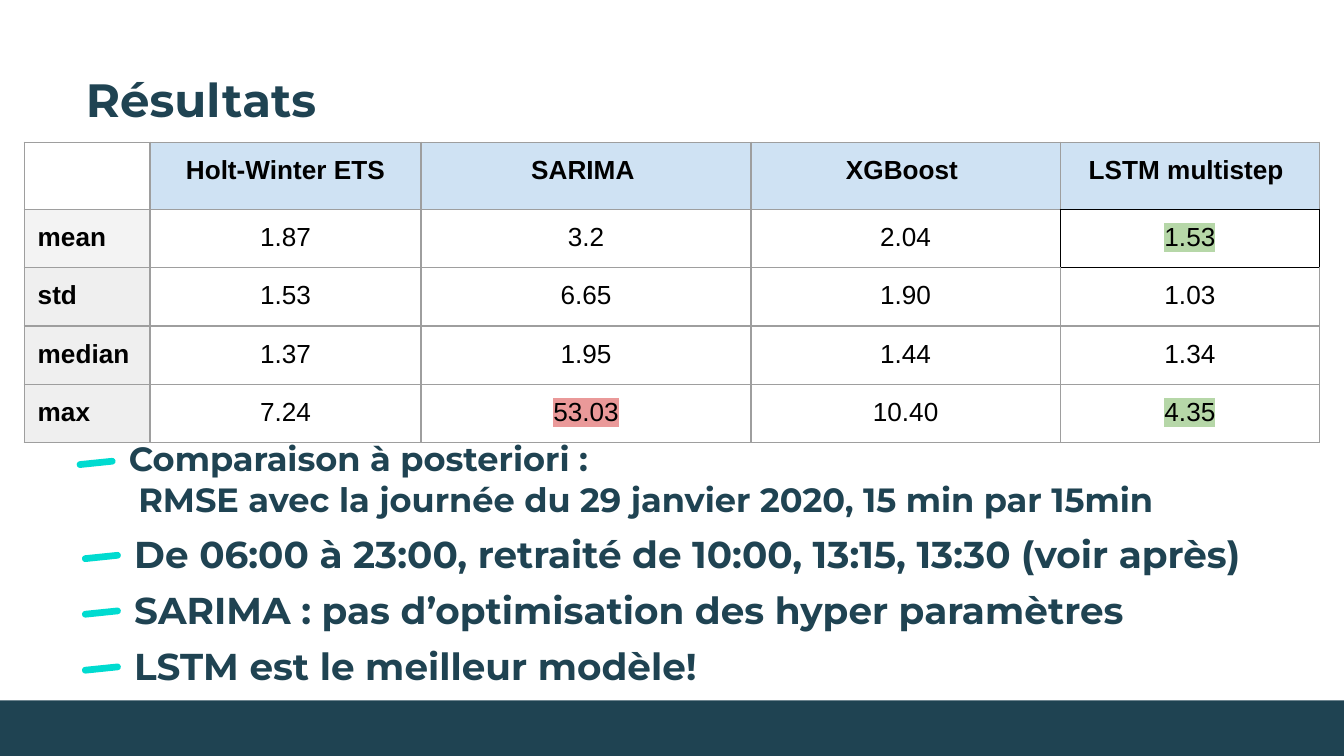
"""Build the forecasting results slide with its comparison table and conclusions."""
from lxml import etree
from pptx import Presentation
from pptx import util as u
from pptx.dml.color import RGBColor
from pptx.enum import shapes, text
from pptx.oxml.ns import qn

Pt = u.Pt
COLORS = {
    "navy": "1F4352", "teal": "00DBD0", "black": "000000", "grid": "9E9E9E",
    "header": "CFE2F3", "mean": "F3F3F3", "label": "EFEFEF",
    "good": "B6D7A8", "bad": "EA9999",
}
ROWS = [
    ["", "Holt-Winter ETS", "SARIMA ", "XGBoost ", "LSTM multistep "],
    ["mean", "1.87", "3.2", "2.04", "1.53"],
    ["std", "1.53", "6.65", "1.90", "1.03"],
    ["median", "1.37", "1.95", "1.44", "1.34"],
    ["max", "7.24", "53.03", "10.40", "4.35"],
]
HIGHLIGHTS = {(1, 4): "good", (4, 2): "bad", (4, 4): "good"}
BLACK_EDGES = {(0, 4): "B", (1, 3): "R", (1, 4): "LRTB", (2, 4): "T"}
BULLETS = [
    (61.9, 227.5, 18, 41.05, 246.2,
     "Comparaison à posteriori :\n RMSE avec la journée du 29 janvier 2020, 15 min par 15min"),
    (64.8, 277.2, 20, 43.9, 296.6,
     "De 06:00 à 23:00, retraité de 10:00, 13:15, 13:30 (voir après)"),
    (64.8, 307.2, 20, 43.9, 326.4, "SARIMA : pas d’optimisation des hyper paramètres"),
    (64.8, 337.2, 20, 43.9, 356.4, "LSTM est le meilleur modèle!"),
]


def add_text(s, x, y, w, size, words):
    tf = s.shapes.add_textbox(Pt(x), Pt(y), Pt(w), Pt(41.8)).text_frame
    tf.word_wrap = True
    tf.vertical_anchor = text.MSO_ANCHOR.TOP
    tf.margin_left = tf.margin_right = tf.margin_top = tf.margin_bottom = Pt(7.2)
    p = tf.paragraphs[0]
    p.text = words
    for r in p.runs:
        r.font.name, r.font.size, r.font.bold = "Montserrat", Pt(size), True
        r.font.color.rgb = RGBColor.from_string(COLORS["navy"])


def add_block(s, kind, x, y, w, h, color):
    sp = s.shapes.add_shape(kind, Pt(x), Pt(y), Pt(w), Pt(h))
    sp.shadow.inherit = False
    sp.fill.solid()
    sp.fill.fore_color.rgb = RGBColor.from_string(COLORS[color])
    sp.line.fill.background()
    return sp


prs = Presentation()
prs.slide_width, prs.slide_height = Pt(720), Pt(405)
s = prs.slides.add_slide(prs.slide_layouts[6])

add_text(s, 39, 31, 418, 25, "Résultats")
add_block(s, shapes.MSO_SHAPE.RECTANGLE, 0, 375.2, 720, 29.8, "navy")

widths = [67.3, 145.3, 176.8, 165.6, 139]
heights = [35, 30, 30, 30, 30]
frame = s.shapes.add_table(5, 5, Pt(13), Pt(76.2), Pt(sum(widths)), Pt(sum(heights)))
table = frame.table
for column, width in zip(table.columns, widths):
    column.width = Pt(width)
for row, height in zip(table.rows, heights):
    row.height = Pt(height)

for i, values in enumerate(ROWS):
    for j, value in enumerate(values):
        cell = table.cell(i, j)
        cell.margin_left = cell.margin_right = cell.margin_top = cell.margin_bottom = Pt(7.2)
        tc_pr = cell._tc.get_or_add_tcPr()
        for side in "LRTB":
            edge = "black" if side in BLACK_EDGES.get((i, j), "") else "grid"
            ln = etree.SubElement(tc_pr, qn(f"a:ln{side}"), w=str(Pt(0.75)))
            fill = etree.SubElement(ln, qn("a:solidFill"))
            etree.SubElement(fill, qn("a:srgbClr"), val=COLORS[edge])
        if i == 0 and j > 0:
            shade = "header"
        elif i > 0 and j == 0:
            shade = "mean" if i == 1 else "label"
        else:
            shade = None
        if shade:
            cell.fill.solid()
            cell.fill.fore_color.rgb = RGBColor.from_string(COLORS[shade])
        else:
            cell.fill.background()
        if not value:
            continue
        p = cell.text_frame.paragraphs[0]
        p.text = value
        p.alignment = text.PP_ALIGN.CENTER if j else text.PP_ALIGN.LEFT
        r = p.runs[0]
        r.font.name, r.font.size, r.font.bold = "Arial", Pt(14), i == 0 or j == 0
        r.font.color.rgb = RGBColor.from_string(COLORS["black"])
        if (i, j) in HIGHLIGHTS:
            mark = etree.Element(qn("a:highlight"))
            etree.SubElement(mark, qn("a:srgbClr"), val=COLORS[HIGHLIGHTS[i, j]])
            r.font._element.find(qn("a:solidFill")).addnext(mark)

for x, y, size, dash_x, dash_y, words in BULLETS:
    add_text(s, x, y, 644.4, size, words)
    dash = add_block(s, shapes.MSO_SHAPE.ROUNDED_RECTANGLE, dash_x, dash_y, 20.9, 3.6, "teal")
    dash.adjustments[0] = 0.5
    dash.rotation = 354.1

prs.save("out.pptx")
